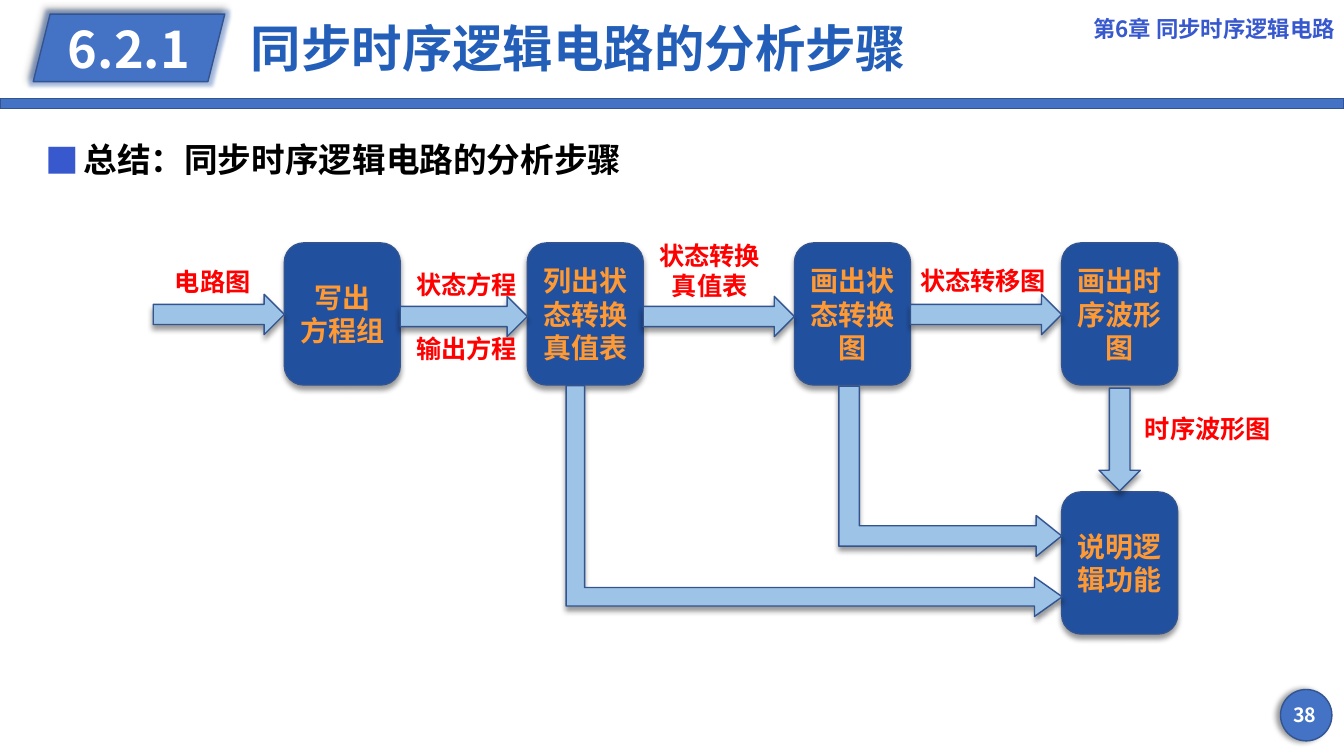
from lxml import etree
from pptx import Presentation
from pptx import util as u
from pptx.dml.color import RGBColor
from pptx.enum import shapes, text
from pptx.oxml import ns

FONT = "Noto Sans CJK SC"
WHITE = RGBColor(0xFF, 0xFF, 0xFF)
BLACK = RGBColor(0, 0, 0)
BLUE = RGBColor(0x44, 0x72, 0xC4)
OUTLINE = RGBColor(0x32, 0x54, 0x91)
TITLE_BLUE = RGBColor(0x23, 0x5E, 0xB8)
ACCENT = RGBColor(0x38, 0x59, 0xCD)
STEP_BLUE = RGBColor(0x21, 0x50, 0x9E)
ORANGE = RGBColor(0xFF, 0x99, 0x33)
ARROW_BLUE = RGBColor(0x9D, 0xC3, 0xE6)
RED = RGBColor(0xFF, 0, 0)

SHAPE = shapes.MSO_SHAPE
ALIGN = text.PP_ALIGN
STEP_W, STEP_H = 1.15, 1.41
STEP_TOP = 2.41


def add_child(parent, tag, **attrs):
    child = etree.SubElement(parent, ns.qn(tag))
    for name, value in attrs.items():
        child.set(name, str(value))
    return child


def add_effect_color(effect, color, alpha):
    clr = add_child(effect, "a:srgbClr", val=color)
    add_child(clr, "a:alpha", val=alpha * 1000)


def add_effects(sp, direction, glow):
    effects = sp._element.spPr.find(ns.qn("a:effectLst"))
    if glow:
        halo = add_child(effects, "a:glow", rad=u.Pt(5))
        add_effect_color(halo, BLUE, 40)
    shadow = add_child(effects, "a:outerShdw", blurRad=u.Pt(4), dist=u.Pt(3),
                       dir=direction * 60000, rotWithShape=0)
    add_effect_color(shadow, BLACK, 40)


def write(sp, words, size, color, align=ALIGN.CENTER, middle=True, wrap=True):
    tf = sp.text_frame
    tf.word_wrap = wrap
    tf.vertical_anchor = text.MSO_ANCHOR.MIDDLE if middle else text.MSO_ANCHOR.TOP
    tf.text = words
    for p in tf.paragraphs:
        p.alignment = align
        for r in p.runs:
            r.font.size = u.Pt(size)
            r.font.bold = True
            r.font.color.rgb = color
            r.font.name = FONT
            add_child(r._r.get_or_add_rPr(), "a:ea", typeface=FONT)
    return tf.paragraphs[0]


def add_box(s, kind, at, fill, shadow=None, glow=False):
    sp = s.shapes.add_shape(kind, *map(u.Inches, at))
    sp.fill.solid()
    sp.fill.fore_color.rgb = fill
    sp.line.color.rgb = OUTLINE
    sp.line.width = u.Pt(1)
    sp.shadow.inherit = False
    if shadow is not None:
        add_effects(sp, shadow, glow)
    return sp


def add_text(s, at, words, size, color, **layout):
    sp = s.shapes.add_textbox(*map(u.Inches, at))
    return write(sp, words, size, color, **layout)


def add_step(s, left, top, words):
    sp = add_box(s, SHAPE.ROUNDED_RECTANGLE, (left, top, STEP_W, STEP_H), STEP_BLUE, 90)
    write(sp, words, 20, ORANGE)


def add_label(s, left, top, width, words):
    height = 0.4 if "\n" not in words else 0.71
    add_text(s, (left, top, width, height), words, 18, RED, middle=False)


def add_bent_arrow(s, at, adjustments):
    sp = add_box(s, SHAPE.BENT_UP_ARROW, at, ARROW_BLUE, 90)
    sp.rotation = 90
    for i, value in enumerate(adjustments):
        sp.adjustments[i] = value


def add_bullet(p):
    pPr = p._p.get_or_add_pPr()
    pPr.set("marL", str(u.Inches(0.38)))
    pPr.set("indent", str(u.Inches(-0.38)))
    p.line_spacing = 1.5
    add_child(add_child(pPr, "a:buClr"), "a:srgbClr", val=ACCENT)
    add_child(pPr, "a:buFont", typeface=FONT)
    add_child(pPr, "a:buChar", char="■")


def add_frame(s):
    add_box(s, SHAPE.RECTANGLE, (0, 0.98, 13.33, 0.1), BLUE)
    add_box(s, SHAPE.OVAL, (12.7, 6.84, 0.51, 0.51), BLUE, 180)
    add_text(s, (12.63, 6.89, 0.62, 0.4), "38", 14, WHITE)
    summary = add_text(s, (0.35, 1.13, 12.52, 0.64), "总结：同步时序逻辑电路的分析步骤",
                       24, BLACK, align=ALIGN.LEFT, middle=False)
    add_bullet(summary)
    badge = add_box(s, SHAPE.PARALLELOGRAM, (0.33, 0.14, 1.9, 0.67), BLUE, 225, glow=True)
    write(badge, "6.2.1", 36, WHITE, wrap=False)
    title = add_text(s, (2.39, 0.11, 6.88, 0.8), "同步时序逻辑电路的分析步骤",
                     36, TITLE_BLUE, align=ALIGN.LEFT)
    title.line_spacing = 0.9
    add_text(s, (10.55, 0, 2.79, 0.56), "第6章 同步时序逻辑电路", 16, ACCENT,
             align=ALIGN.RIGHT)


def add_flow(s):
    steps = [(2.82, "写出\n方程组"), (5.23, "列出状态转换真值表"),
             (7.88, "画出状态转换图"), (10.53, "画出时序波形图")]
    for left, words in steps:
        add_step(s, left, STEP_TOP, words)
    add_step(s, steps[-1][0], 4.88, "说明逻辑功能")

    starts = [1.52] + [left + STEP_W for left, _ in steps[:-1]]
    tops = [2.92, 2.94, 2.94, 2.92]
    for start, top, (end, _) in zip(starts, tops, steps):
        add_box(s, SHAPE.RIGHT_ARROW, (start, top, end - start, 0.4), ARROW_BLUE, 90)
    add_box(s, SHAPE.DOWN_ARROW, (10.9, 3.85, 0.41, 1.02), ARROW_BLUE, 90)

    for left, top, width, words in [
        (1.52, 2.59, 1.18, "电路图"),
        (3.86, 2.62, 1.54, "状态方程"),
        (3.86, 3.26, 1.54, "输出方程"),
        (6.27, 2.33, 1.54, "状态转换\n真值表"),
        (8.98, 2.58, 1.54, "状态转移图"),
        (11.21, 4.05, 1.54, "时序波形图"),
    ]:
        add_label(s, left, top, width, words)

    add_bent_arrow(s, (6.93, 2.51, 2.29, 4.92), (0.08, 0.085, 0.12))
    add_bent_arrow(s, (8.58, 3.57, 1.69, 2.21), (0.12, 0.12, 0.15))


def main():
    prs = Presentation()
    prs.slide_width = u.Inches(13.33)
    prs.slide_height = u.Inches(7.5)
    s = prs.slides.add_slide(prs.slide_layouts[6])
    add_frame(s)
    add_flow(s)
    prs.save("out.pptx")


if __name__ == "__main__":
    main()
